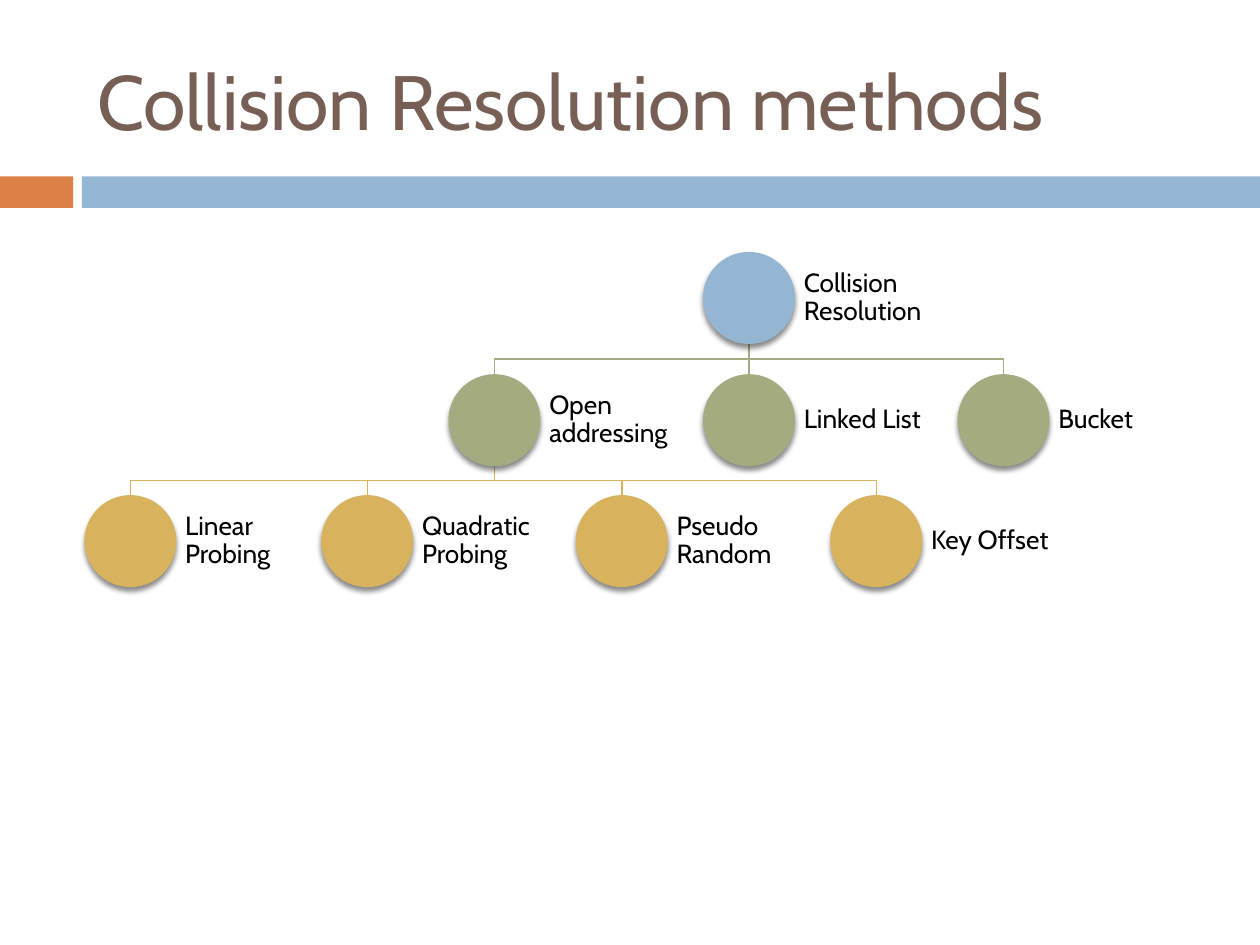
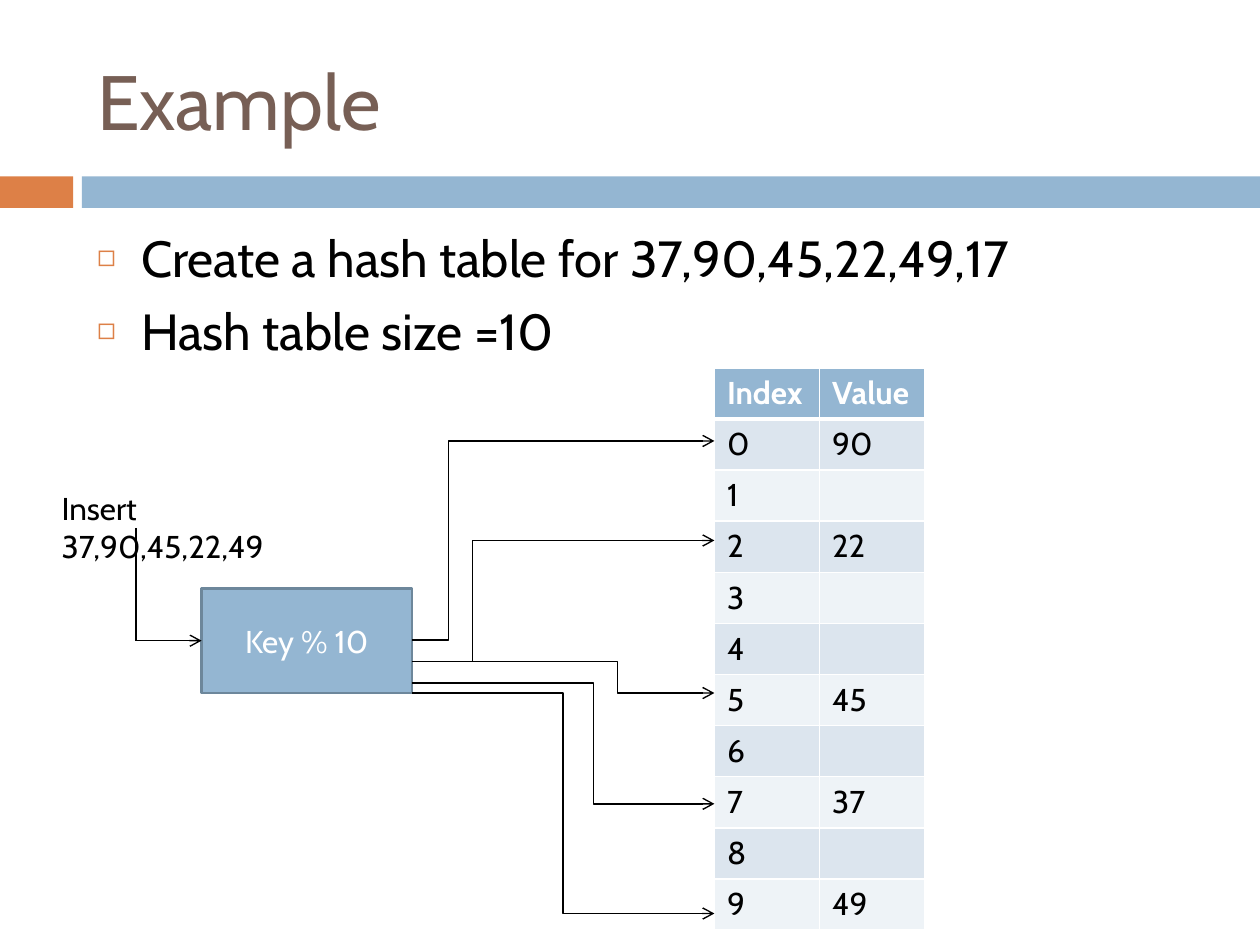
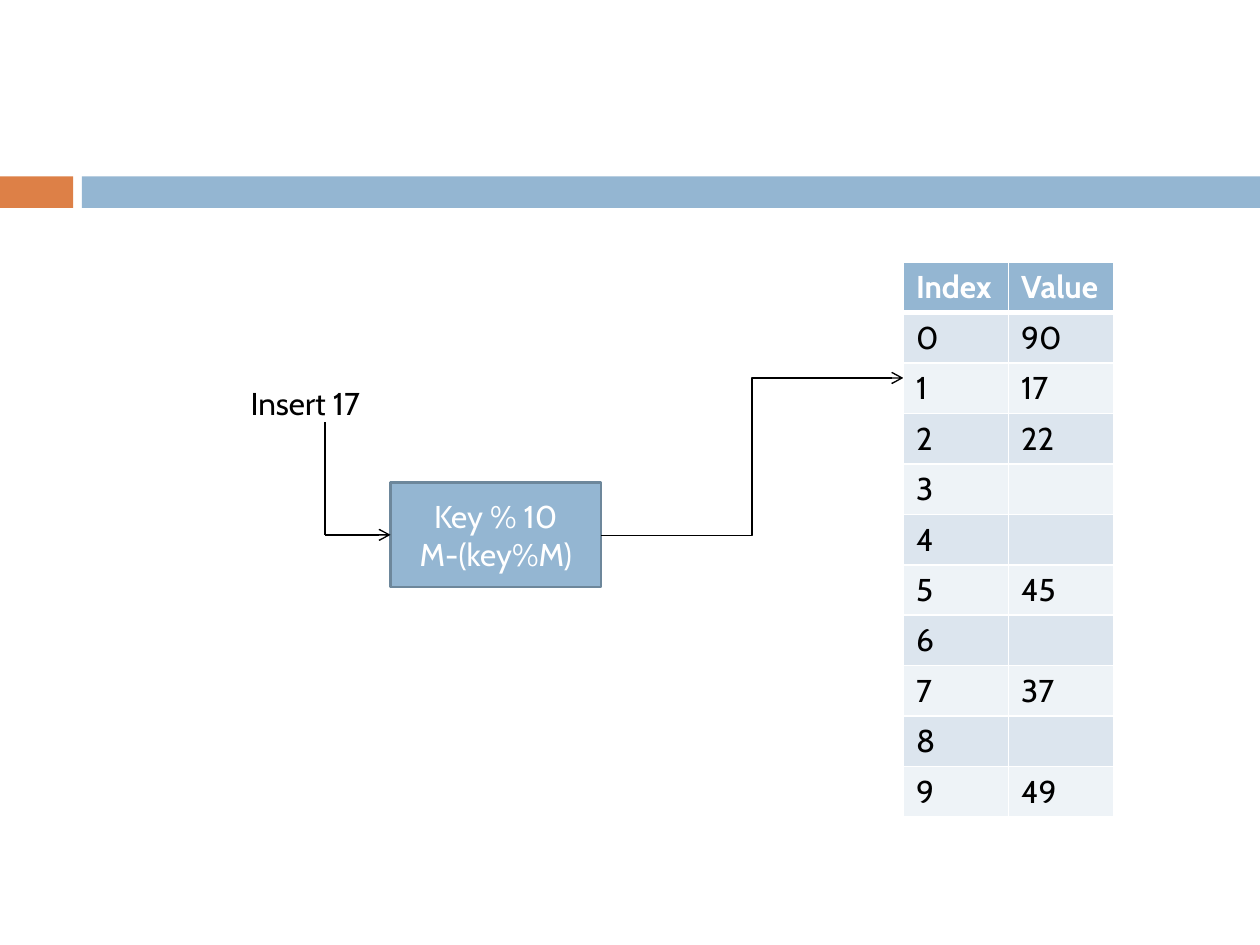
"""Build three slides on resolving hash collisions."""
import pptx
import pptx.dml.color
import pptx.enum.shapes
import pptx.enum.text
import pptx.oxml
import pptx.oxml.ns
import pptx.util
from pptx.util import Inches

FONT = "Cabin"
BLUE, ORANGE, GREEN, GOLD = "94B6D2", "DD8047", "A5AB81", "D8B25C"
BROWN, EDGE, BLACK, WHITE = "775F55", "6D879B", "000000", "FFFFFF"
STRIPES = ("DCE5EE", "EEF3F7")

BANDS = [(0, 0.58, ORANGE), (0.65, 9.35, BLUE)]

TIERS = [(2, BLUE), (2.97, GREEN), (3.93, GOLD)]
NODES = [
    ("Collision Resolution", None, 0, 5.58),
    ("Open addressing", "Collision Resolution", 1, 3.56),
    ("Linked List", "Collision Resolution", 1, 5.58),
    ("Bucket", "Collision Resolution", 1, 7.6),
    ("Linear Probing", "Open addressing", 2, 0.67),
    ("Quadratic Probing", "Open addressing", 2, 2.55),
    ("Pseudo Random", "Open addressing", 2, 4.57),
    ("Key Offset", "Open addressing", 2, 6.59),
]
DISC = 0.73

TASKS = ["Create a hash table for 37,90,45,22,49,17", "Hash table size =10"]
HEADS = ("Index", "Value")
STORED = {0: "90", 2: "22", 5: "45", 7: "37", 9: "49"}
BOX = (1.67, 0.83)
ROUTES = [
    (5.08, 3.5, 0.12),
    (5.25, 4.29, 0.2),
    (5.5, 7.25, 0.5),
    (5.42, 6.38, 0.6),
    (5.25, 5.5, 0.68),
]

SHAPE = pptx.enum.shapes.MSO_SHAPE
LINE = pptx.enum.shapes.MSO_CONNECTOR
ALIGN = pptx.enum.text.PP_ALIGN
ANCHOR = pptx.enum.text.MSO_ANCHOR


def color(code):
    """Turn a hex string into a colour."""
    return pptx.dml.color.RGBColor.from_string(code)


def node(xml):
    """Parse one drawing element."""
    space = pptx.oxml.ns.nsdecls("a")
    return pptx.oxml.parse_xml(xml.replace(">", f" {space}>", 1)
                               if "/>" not in xml.split(">")[0] + ">"
                               else xml.replace("/>", f" {space}/>", 1))


def write(frame, lines, size=18, ink=BLACK, bold=False, align=ALIGN.LEFT,
          anchor=ANCHOR.TOP, inset=None, pitch=None, before=None):
    """Fill a text frame with formatted paragraphs."""
    frame.word_wrap = True
    frame.vertical_anchor = anchor
    if inset is not None:
        frame.margin_left = frame.margin_right = Inches(inset)
        frame.margin_top = frame.margin_bottom = Inches(inset)
    for i, line in enumerate(lines):
        para = frame.add_paragraph() if i else frame.paragraphs[0]
        para.text = line
        para.alignment = align
        if pitch:
            para.line_spacing = pitch
        if before is not None:
            para.space_before = pptx.util.Pt(before)
        for run in para.runs:
            run.font.name = FONT
            run.font.size = pptx.util.Pt(size)
            run.font.bold = bold
            run.font.color.rgb = color(ink)


def place(shape, *spot):
    """Move a shape to left, top, width and height."""
    shape.left, shape.top, shape.width, shape.height = map(Inches, spot)


def draw(slide, kind, spot, fill, edge=None):
    """Add a filled preset shape."""
    shape = slide.shapes.add_shape(kind, *map(Inches, spot))
    shape.shadow.inherit = False
    shape.fill.solid()
    shape.fill.fore_color.rgb = color(fill)
    if edge:
        shape.line.color.rgb = color(edge)
        shape.line.width = pptx.util.Pt(1.5)
    else:
        shape.line.fill.background()
    return shape


def label(slide, spot, lines, **style):
    """Add a text box."""
    box = slide.shapes.add_textbox(*map(Inches, spot))
    write(box.text_frame, lines, **style)


def stroke(shape, ink):
    """Give a line its colour and thin width."""
    shape.line.color.rgb = color(ink)
    shape.line.width = pptx.util.Pt(0.79)


def link(slide, start, end, ink=BLACK, arrow=False, bend=None):
    """Add a straight connector, or an elbow turning at a share of its width."""
    kind = LINE.STRAIGHT if bend is None else LINE.ELBOW
    wire = slide.shapes.add_connector(kind, *map(Inches, (*start, *end)))
    stroke(wire, ink)
    wire.element.spPr.append(node("<a:effectLst/>"))
    if arrow:
        wire.line._get_or_add_ln().append(node('<a:tailEnd type="arrow"/>'))
    if bend is not None:
        guides = wire.element.find(".//" + pptx.oxml.ns.qn("a:avLst"))
        guides.append(node(f'<a:gd name="adj1" fmla="val {round(bend * 100000)}"/>'))
    return wire


def start(deck, layout, title=None):
    """Add a slide with its bands and title."""
    slide = deck.slides.add_slide(deck.slide_layouts[layout])
    for left, width, fill in BANDS:
        draw(slide, SHAPE.RECTANGLE, (left, 1.4, width, 0.25), fill)
    if title:
        place(slide.shapes.title, 0.67, 0.25, 8.92, 1.08)
        write(slide.shapes.title.text_frame, [title], size=44, ink=BROWN,
              anchor=ANCHOR.MIDDLE)
    return slide


def branch(slide, top, end, ink):
    """Join two tree nodes by a stepped line."""
    if top[0] == end[0]:
        link(slide, top, end, ink)
        return
    mid = (top[1] + end[1]) / 2
    pen = slide.shapes.build_freeform(*map(Inches, top))
    turns = [(top[0], mid), (end[0], mid), end]
    pen.add_line_segments([tuple(map(Inches, spot)) for spot in turns], close=False)
    step = pen.convert_to_shape()
    step.shadow.inherit = False
    step.fill.background()
    stroke(step, ink)


def tree(slide):
    """Draw the tree of methods."""
    spots = {name: (left + DISC / 2, TIERS[tier][0]) for name, _, tier, left in NODES}
    for name, parent, tier, _ in NODES:
        if parent:
            mid, top = spots[parent]
            branch(slide, (mid, top + DISC), spots[name], TIERS[tier][1])
    for name, _, tier, left in NODES:
        top, fill = TIERS[tier]
        disc = draw(slide, SHAPE.OVAL, (left, top, DISC, DISC), fill)
        glow = disc.element.spPr.find(pptx.oxml.ns.qn("a:effectLst"))
        glow.append(node(
            '<a:outerShdw blurRad="38100" dist="30480" dir="5400000" rotWithShape="0">'
            '<a:srgbClr val="000000"><a:alpha val="45000"/></a:srgbClr></a:outerShdw>'))
        label(slide, (left + 0.74, top, 1.1, DISC), [name], size=15,
              anchor=ANCHOR.MIDDLE, inset=0.06, pitch=0.9)


def tasks(slide):
    """Fill the body with its bulleted list."""
    body = slide.placeholders[1]
    place(body, 0.67, 1.75, 8.92, 4.92)
    write(body.text_frame, TASKS, size=29, before=7)
    for para in body.text_frame.paragraphs:
        props = para._p.get_or_add_pPr()
        props.set("marL", str(Inches(0.35)))
        props.set("indent", str(-Inches(0.35)))
        for xml in (f'<a:buClr><a:srgbClr val="{ORANGE}"/></a:buClr>',
                    '<a:buSzPct val="60000"/>', '<a:buChar char="◻"/>'):
            props.append(node(xml))


def border(cell, row):
    """Rule a cell in white, thick below the header."""
    thick = {"T": row == 1, "B": row == 0}
    for i, side in enumerate("LRTB"):
        width = pptx.util.Pt(3 if thick.get(side) else 1)
        cell._tc.get_or_add_tcPr().insert(i, node(
            f'<a:ln{side} w="{width}"><a:solidFill><a:srgbClr val="{WHITE}"/>'
            f'</a:solidFill></a:ln{side}>'))


def grid(slide, left, top, stored):
    """Draw the hash table."""
    rows = [HEADS] + [(str(i), stored.get(i, "")) for i in range(10)]
    spot = (left, top, 1.67, 0.4 * len(rows))
    table = slide.shapes.add_table(len(rows), 2, *map(Inches, spot)).table
    for r, row in enumerate(rows):
        for c, text in enumerate(row):
            cell = table.cell(r, c)
            cell.fill.solid()
            cell.fill.fore_color.rgb = color(STRIPES[(r - 1) % 2] if r else BLUE)
            border(cell, r)
            if text:
                write(cell.text_frame, [text], ink=BLACK if r else WHITE, bold=r == 0)


def hasher(slide, left, top, lines):
    """Draw the hash function box with the arrow that feeds it."""
    box = draw(slide, SHAPE.RECTANGLE, (left, top, *BOX), BLUE, EDGE)
    write(box.text_frame, lines, ink=WHITE, align=ALIGN.CENTER, anchor=ANCHOR.MIDDLE)
    feed, mid = left - 0.52, top + BOX[1] / 2
    link(slide, (feed, top - 0.48), (feed, mid))
    link(slide, (feed, mid), (left, mid), arrow=True).end_connect(box, 1)


def main():
    """Build and save the deck."""
    deck = pptx.Presentation()
    deck.slide_width, deck.slide_height = Inches(10), Inches(7.5)

    tree(start(deck, 5, "Collision Resolution methods"))

    slide = start(deck, 1, "Example")
    tasks(slide)
    grid(slide, 5.67, 2.92, STORED)
    hasher(slide, 1.6, 4.67, ["Key % 10"])
    label(slide, (0.39, 3.83, 2.42, 0.71), ["Insert\n37,90,45,22,49"])
    for begin, end, bend in ROUTES:
        link(slide, (3.27, begin), (5.67, end), arrow=True, bend=bend)

    slide = start(deck, 6)
    hasher(slide, 3.1, 3.83, ["Key % 10", "M-(key%M)"])
    label(slide, (1.89, 3, 1.1, 0.71), ["Insert 17"])
    link(slide, (4.77, 4.25), (7.17, 3), arrow=True, bend=0.5)
    grid(slide, 7.17, 2.08, {**STORED, 1: "17"})

    deck.save("out.pptx")


if __name__ == "__main__":
    main()
